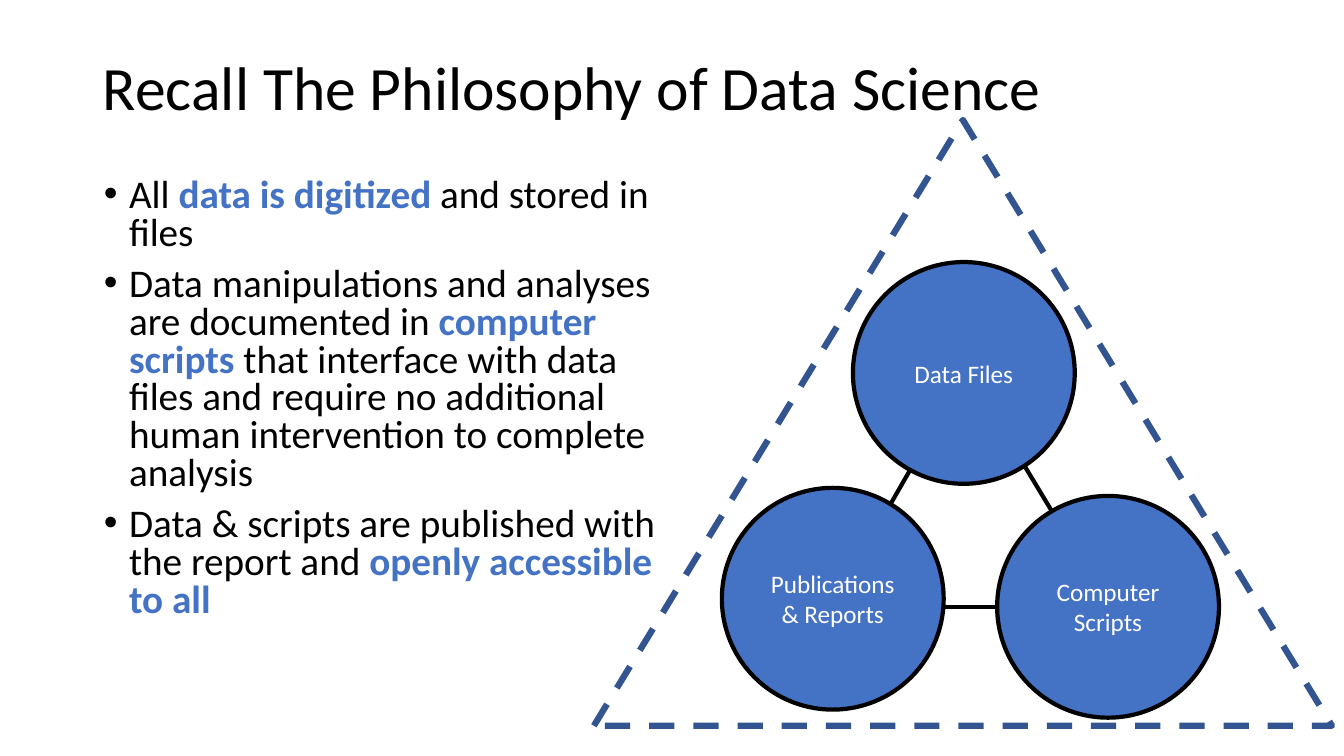
from lxml.etree import SubElement
from pptx import Presentation
from pptx.dml.color import RGBColor
from pptx.enum.dml import MSO_LINE
from pptx.enum.shapes import MSO_CONNECTOR, MSO_SHAPE
from pptx.enum.text import MSO_ANCHOR, MSO_AUTO_SIZE, PP_ALIGN
from pptx.oxml.ns import qn
from pptx.util import Pt

PX = 9144
BLACK = RGBColor(0x00, 0x00, 0x00)
WHITE = RGBColor(0xFF, 0xFF, 0xFF)
BLUE = RGBColor(0x44, 0x72, 0xC4)
DARK_BLUE = RGBColor(0x32, 0x54, 0x91)
FONT = "Calibri"
DIAMETER = 220


def px(*lengths):
    return [length * PX for length in lengths]


def set_font(paragraph, size, color):
    paragraph.font.name = FONT
    paragraph.font.size = Pt(size)
    paragraph.font.color.rgb = color


presentation = Presentation()
presentation.slide_width, presentation.slide_height = px(1333, 750)
slide = presentation.slides.add_slide(presentation.slide_layouts[1])

title = slide.shapes.title
title.left, title.top, title.width, title.height = px(92, 17, 1150, 145)
title.text_frame.text = "Recall The Philosophy of Data Science"
title.text_frame.vertical_anchor = MSO_ANCHOR.MIDDLE
title.text_frame.auto_size = MSO_AUTO_SIZE.NONE
heading = title.text_frame.paragraphs[0]
heading.alignment = PP_ALIGN.LEFT
heading.line_spacing = 0.9
set_font(heading, 44, BLACK)

principles = [
    [("All ", False), ("data is digitized ", True), ("and stored in files", False)],
    [
        ("Data manipulations and analyses are documented in ", False),
        ("computer scripts ", True),
        ("that interface with data files and require no additional "
         "human intervention to complete analysis", False),
    ],
    [
        ("Data & scripts are published with the report and ", False),
        ("openly accessible to all", True),
    ],
]
body = slide.placeholders[1]
body.left, body.top, body.width, body.height = px(93, 172, 567, 476)
body.text_frame.auto_size = MSO_AUTO_SIZE.NONE
for index, principle in enumerate(principles):
    paragraph = body.text_frame.add_paragraph() if index else body.text_frame.paragraphs[0]
    properties = paragraph._p.get_or_add_pPr()
    properties.set("marL", str(25 * PX))
    properties.set("indent", str(-25 * PX))
    SubElement(properties, qn("a:buFont"), typeface="Arial")
    SubElement(properties, qn("a:buChar"), char="•")
    paragraph.line_spacing = 0.8
    paragraph.space_before = Pt(10 if index else 0)
    set_font(paragraph, 28, BLACK)
    for text, highlighted in principle:
        run = paragraph.add_run()
        run.text = text
        if highlighted:
            run.font.bold = True
            run.font.color.rgb = BLUE

links = [(908, 457, 881, 504), (1010, 452, 1051, 520), (913, 602, 1010, 602)]
for link in links:
    connector = slide.shapes.add_connector(MSO_CONNECTOR.STRAIGHT, *px(*link))
    connector.line.color.rgb = BLACK
    connector.line.width = Pt(3)
    SubElement(connector._element.spPr, qn("a:effectLst"))

circles = [
    ("Data Files", 846, 260),
    ("Publications & Reports", 716, 484),
    ("Computer Scripts", 989, 492),
]
for label, left, top in circles:
    circle = slide.shapes.add_shape(MSO_SHAPE.OVAL, *px(left, top, DIAMETER, DIAMETER))
    circle.shadow.inherit = False
    circle.fill.solid()
    circle.fill.fore_color.rgb = BLUE
    circle.line.color.rgb = BLACK
    circle.line.width = Pt(3)
    circle.text_frame.text = label
    circle.text_frame.word_wrap = True
    circle.text_frame.vertical_anchor = MSO_ANCHOR.MIDDLE
    paragraph = circle.text_frame.paragraphs[0]
    paragraph.alignment = PP_ALIGN.CENTER
    set_font(paragraph, 18, WHITE)

triangle = slide.shapes.add_shape(MSO_SHAPE.ISOSCELES_TRIANGLE, *px(589, 119, 732, 601))
triangle.shadow.inherit = False
triangle.fill.background()
triangle.line.color.rgb = DARK_BLUE
triangle.line.width = Pt(4.5)
triangle.line.dash_style = MSO_LINE.DASH

presentation.save("out.pptx")
